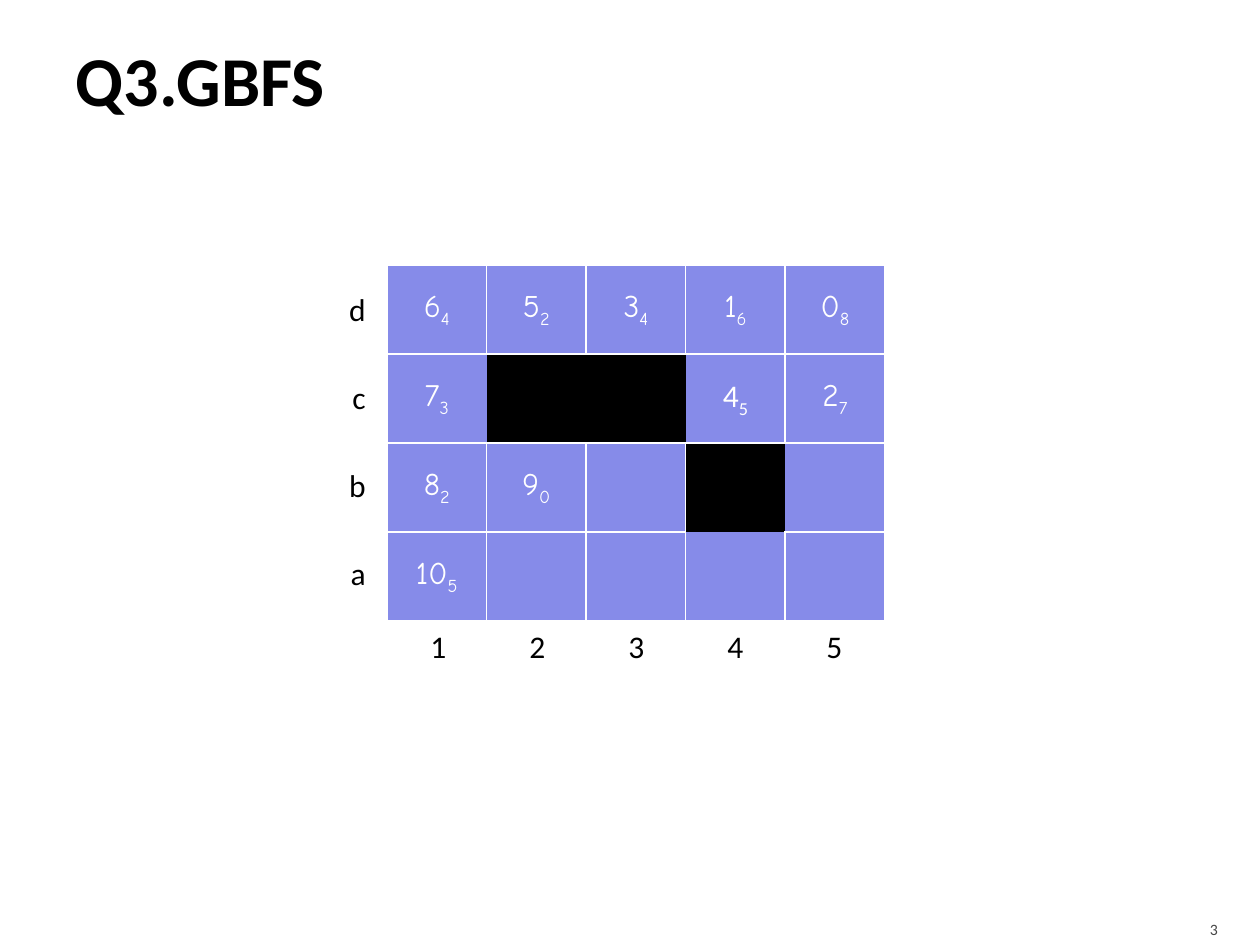
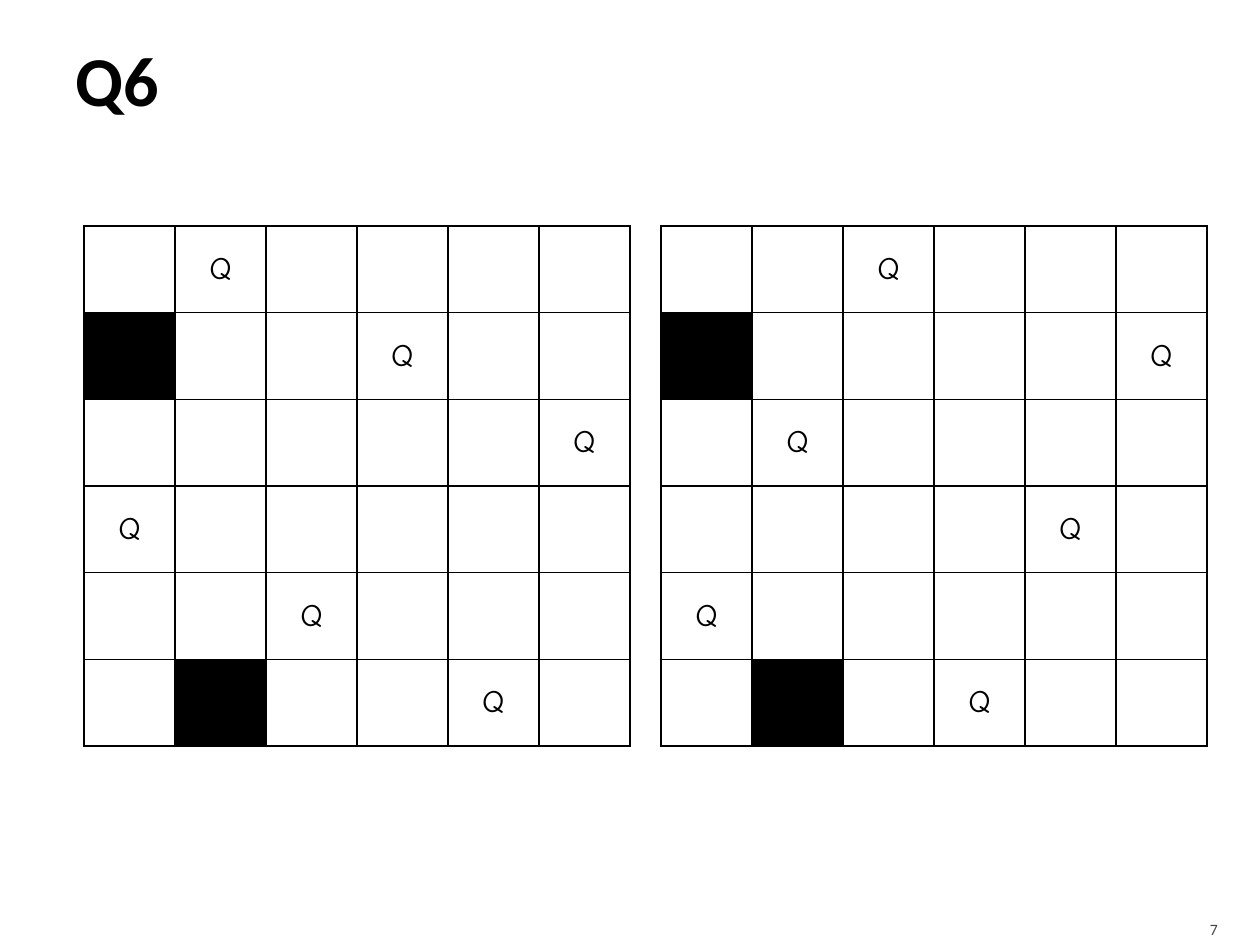
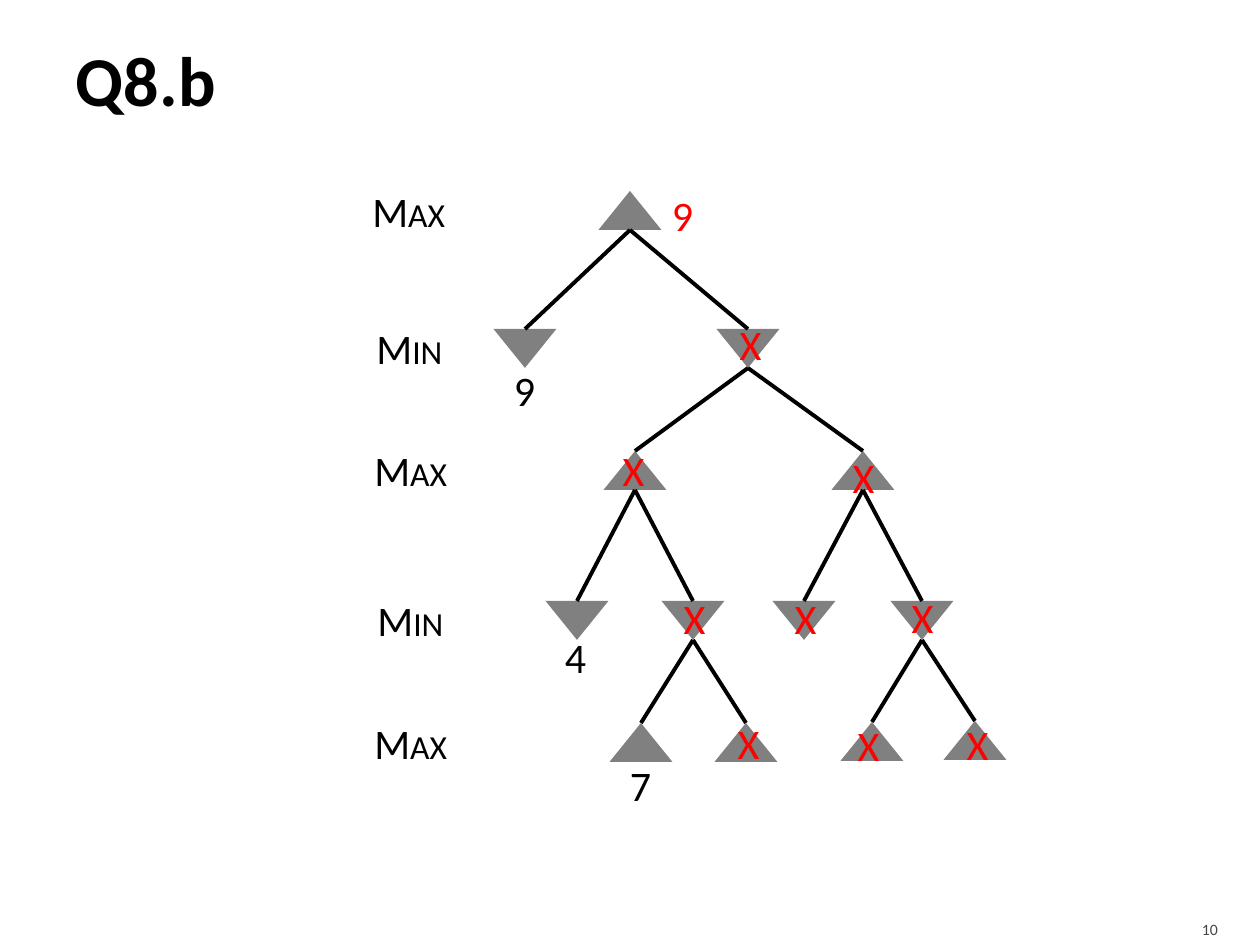
from dataclasses import dataclass

from lxml.etree import SubElement
from pptx import Presentation
from pptx.dml.color import RGBColor
from pptx.enum.shapes import MSO_CONNECTOR, MSO_SHAPE
from pptx.enum.text import MSO_ANCHOR, MSO_AUTO_SIZE, PP_ALIGN
from pptx.oxml.ns import qn
from pptx.util import Emu, Pt

PX_PER_INCH = 126
COLORS = {
    "ink": "000000",
    "paper": "FFFFFF",
    "cell": "868BE9",
    "node": "808080",
    "pruned": "FF0000",
    "number": "454545",
}
TEXT_FONT = "Calibri"
GRID_FONT = "Comic Neue"
PLAIN_TABLE_STYLE = "{2D5ABB26-0587-4C30-8999-92F81FD0307C}"
TITLE_BOX = (63, 10, 1134, 136)
NUMBER_BOX = (1130, 907, 101, 38)
BLOCKED = "#"

MAZE_BOX = (387, 265, 498, 356)
MAZE = [
    ["6 4", "5 2", "3 4", "1 6", "0 8"],
    ["7 3", BLOCKED, BLOCKED, "4 5", "2 7"],
    ["8 2", "9 0", "", BLOCKED, ""],
    ["10 5", "", "", "", ""],
]
CALIBRI_STEP = "4 5"

BOARD_SIZE = (546, 520)
BOARDS = [
    ((84, 226), [".Q....", "#..Q..", ".....Q", "Q.....", "..Q...", ".#..Q."]),
    ((661, 226), ["..Q...", "#....Q", ".Q....", "....Q.", "Q.....", ".#.Q.."]),
]

NODE_WIDTH, NODE_HEIGHT = 63, 39
MARK_SIZE = (63, 64)
LEVELS = [
    ("Max", 360, 179, 100),
    ("Min", 364, 316, 92),
    ("Max", 362, 438, 100),
    ("Min", 365, 588, 92),
    ("Max", 362, 711, 100),
]


@dataclass
class Node:
    center: int
    top: int
    level: int
    parent: str
    mark: str = ""
    mark_at: tuple = ()
    mark_color: str = "pruned"


TREE = {
    "root": Node(630, 191, 0, "", "9", (651, 183)),
    "a": Node(525, 329, 1, "root", "9", (493, 358), "ink"),
    "b": Node(748, 329, 1, "root", "X", (719, 312)),
    "ba": Node(635, 451, 2, "b", "X", (602, 438)),
    "bb": Node(863, 451, 2, "b", "X", (832, 445)),
    "baa": Node(577, 601, 3, "ba", "4", (544, 625), "ink"),
    "bab": Node(693, 601, 3, "ba", "X", (663, 586)),
    "bba": Node(804, 601, 3, "bb", "X", (774, 586)),
    "bbb": Node(922, 601, 3, "bb", "X", (891, 585)),
    "baba": Node(641, 723, 4, "bab", "7", (609, 753), "ink"),
    "babb": Node(746, 723, 4, "bab", "X", (717, 711)),
    "bbba": Node(872, 722, 4, "bbb", "X", (837, 713)),
    "bbbb": Node(975, 721, 4, "bbb", "X", (946, 712)),
}


def px(*lengths):
    return [Emu(round(length * 914400 / PX_PER_INCH)) for length in lengths]


def rgb(color):
    return RGBColor.from_string(COLORS[color])


def add_run(paragraph, text, size, color, font=TEXT_FONT, bold=False):
    run = paragraph.add_run()
    run.text = text
    run.font.size = Pt(size)
    run.font.name = font
    run.font.bold = bold
    run.font.color.rgb = rgb(color)
    return run


def set_insets(frame, left, top, right, bottom):
    frame.margin_left, frame.margin_top, frame.margin_right, frame.margin_bottom = px(
        left, top, right, bottom)


def add_label(slide, box, text, size, color="ink", align=PP_ALIGN.LEFT):
    frame = slide.shapes.add_textbox(*px(*box)).text_frame
    frame.word_wrap = False
    frame.auto_size = MSO_AUTO_SIZE.SHAPE_TO_FIT_TEXT
    frame.paragraphs[0].alignment = align
    return frame, add_run(frame.paragraphs[0], text, size, color)


def add_titled_slide(prs, heading, number):
    slide = prs.slides.add_slide(prs.slide_layouts[5])
    title = slide.shapes.title
    title.left, title.top, title.width, title.height = px(*TITLE_BOX)
    frame = title.text_frame
    frame.auto_size = MSO_AUTO_SIZE.NONE
    frame.vertical_anchor = MSO_ANCHOR.MIDDLE
    set_insets(frame, 13, 6, 6, 6)
    frame.paragraphs[0].alignment = PP_ALIGN.LEFT
    add_run(frame.paragraphs[0], heading, 40, "ink", bold=True)

    frame, _ = add_label(slide, NUMBER_BOX, number, 9, "number", PP_ALIGN.RIGHT)
    frame.word_wrap = True
    frame.auto_size = MSO_AUTO_SIZE.NONE
    frame.vertical_anchor = MSO_ANCHOR.MIDDLE
    set_insets(frame, 13, 6, 13, 0)
    return slide


def add_border(cell, side, color):
    line = SubElement(cell._tc.get_or_add_tcPr(), qn(f"a:ln{side}"), w=str(Pt(1)))
    fill = SubElement(line, qn("a:solidFill"))
    SubElement(fill, qn("a:srgbClr"), val=COLORS[color])


def add_grid(slide, box, rows, cell_color, border_sides, border_color, write_cell):
    table = slide.shapes.add_table(len(rows), len(rows[0]), *px(*box)).table
    table.first_row = table.horz_banding = False
    table._tbl.tblPr.find(qn("a:tableStyleId")).text = PLAIN_TABLE_STYLE
    for r, row in enumerate(rows):
        for c, content in enumerate(row):
            cell = table.cell(r, c)
            for side in border_sides(r, c):
                add_border(cell, side, border_color)
            cell.fill.solid()
            cell.fill.fore_color.rgb = rgb("ink" if content == BLOCKED else cell_color)
            cell.vertical_anchor = MSO_ANCHOR.MIDDLE
            paragraph = cell.text_frame.paragraphs[0]
            paragraph.alignment = PP_ALIGN.CENTER
            write_cell(paragraph, content)


def maze_borders(row, col):
    neighbours = {"L": (row, col - 1), "R": (row, col + 1),
                  "T": (row - 1, col), "B": (row + 1, col)}
    for side, (r, c) in neighbours.items():
        inside = 0 <= r < len(MAZE) and 0 <= c < len(MAZE[0])
        touches_block = BLOCKED in (MAZE[row][col], MAZE[r][c] if inside else "")
        under_first_row = {row, r} == {0, 1}
        if under_first_row or not touches_block:
            yield side


def write_step(paragraph, content):
    if content in ("", BLOCKED):
        return
    step, cost = content.split()
    font = TEXT_FONT if content == CALIBRI_STEP else GRID_FONT
    add_run(paragraph, step, 18, "paper", font)
    subscript = add_run(paragraph, cost, 18, "paper", font)
    subscript.font._element.set("baseline", "-25000")


def write_queen(paragraph, content):
    if content == "Q":
        add_run(paragraph, content, 18, "ink", GRID_FONT)


def add_node(slide, node):
    left = node.center - NODE_WIDTH / 2
    triangle = slide.shapes.add_shape(
        MSO_SHAPE.ISOSCELES_TRIANGLE, *px(left, node.top, NODE_WIDTH, NODE_HEIGHT))
    triangle.shadow.inherit = False
    triangle.fill.solid()
    triangle.fill.fore_color.rgb = rgb("node")
    triangle.line.fill.background()
    if node.level % 2:
        triangle._element.spPr.find(qn("a:xfrm")).set("flipV", "1")


def add_branch(slide, parent, child):
    branch = slide.shapes.add_connector(
        MSO_CONNECTOR.STRAIGHT,
        *px(parent.center, parent.top + NODE_HEIGHT, child.center, child.top))
    branch.line.color.rgb = rgb("ink")
    branch.line.width = Pt(2.25)
    SubElement(branch._element.spPr, qn("a:effectLst"))


def add_mark(slide, node):
    frame, _ = add_label(slide, (*node.mark_at, *MARK_SIZE), node.mark, 24,
                         node.mark_color, PP_ALIGN.CENTER)
    frame.auto_size = MSO_AUTO_SIZE.NONE
    frame.vertical_anchor = MSO_ANCHOR.MIDDLE
    set_insets(frame, 0, 0, 0, 0)


def build_search_slide(prs):
    slide = add_titled_slide(prs, "Q3.GBFS", "3")
    add_grid(slide, MAZE_BOX, MAZE, "cell", maze_borders, "paper", write_step)
    for i, letter in enumerate("dcba"):
        add_label(slide, (336, 284 + i * 88, 42, 50), letter, 18, align=PP_ALIGN.RIGHT)
    for i, digit in enumerate("12345"):
        add_label(slide, (418 + i * 99, 621, 42, 50), digit, 18)


def build_queens_slide(prs):
    slide = add_titled_slide(prs, "Q6", "7")
    for corner, rows in BOARDS:
        add_grid(slide, (*corner, *BOARD_SIZE), rows, "paper",
                 lambda row, col: "LRTB", "ink", write_queen)


def build_tree_slide(prs):
    slide = add_titled_slide(prs, "Q8.b", "10")
    for node in TREE.values():
        add_node(slide, node)
    for node in TREE.values():
        if node.parent:
            add_branch(slide, TREE[node.parent], node)
    for player, left, top, width in LEVELS:
        _, run = add_label(slide, (left, top, width, 63), player, 24)
        run.font._element.set("cap", "small")
    for node in TREE.values():
        add_mark(slide, node)


def main():
    prs = Presentation()
    prs.slide_width, prs.slide_height = px(1260, 945)
    build_search_slide(prs)
    build_queens_slide(prs)
    build_tree_slide(prs)
    prs.save("out.pptx")


if __name__ == "__main__":
    main()
